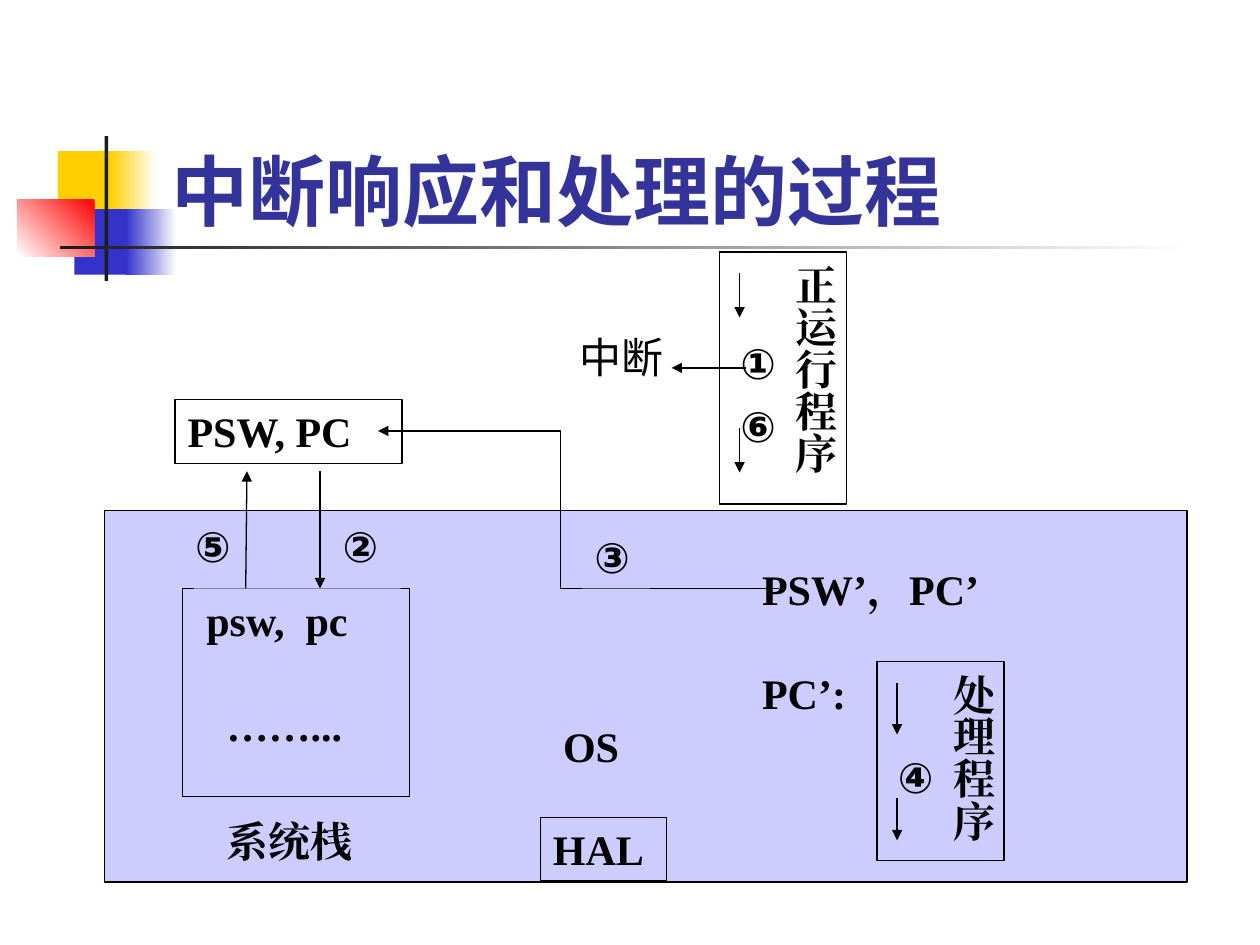
import pptx
import pptx.dml.color
import pptx.enum.shapes
import pptx.enum.text
import pptx.oxml
import pptx.oxml.ns
import pptx.util

COLORS = {
    "white": "FFFFFF", "black": "000000", "yellow": "FFCF01", "blue": "3333CC",
    "red": "FF0000", "charcoal": "1C1C1C", "title": "333399", "lavender": "CCCCFF",
}
SLIDE_WIDTH = pptx.util.Inches(10)
SLIDE_HEIGHT = pptx.util.Inches(7.5)
COLUMNS, ROWS = 100, 75
SERIF, SANS = "Times New Roman", "Roboto"


def across(columns):
    return round(SLIDE_WIDTH * columns / COLUMNS)


def down(rows):
    return round(SLIDE_HEIGHT * rows / ROWS)


def grid(left, top, width, height):
    return across(left), down(top), across(width), down(height)


def color(name):
    return pptx.dml.color.RGBColor.from_string(COLORS[name])


def add_child(parent, tag, **attributes):
    child = pptx.oxml.parse_xml(f"<a:{tag} {pptx.oxml.ns.nsdecls('a')}/>")
    for name, value in attributes.items():
        child.set(name, str(value))
    parent.append(child)
    return child


def style_line(shape, arrow=False):
    shape.line.color.rgb = color("black")
    shape.line.width = pptx.util.Pt(0.75)
    if arrow:
        add_child(shape.line._get_or_add_ln(), "tailEnd", type="triangle")


def add_box(slide, area, fill, outlined=False):
    shape = slide.shapes.add_shape(
        pptx.enum.shapes.MSO_SHAPE.RECTANGLE, *grid(*area))
    shape.shadow.inherit = False
    shape.fill.solid()
    shape.fill.fore_color.rgb = color(fill)
    if outlined:
        style_line(shape)
    else:
        shape.line.fill.background()
    return shape


def add_fade(slide, area, start, end, angle):
    shape = add_box(slide, area, start)
    shape.fill.gradient()
    shape.fill.gradient_angle = angle
    for stop, name in zip(shape.fill.gradient_stops, (start, end)):
        stop.color.rgb = color(name)
    shape.fill.gradient_stops[0].position = 0
    shape.fill.gradient_stops[1].position = 1


def format_paragraph(paragraph, font=SERIF, size=24, bold=True, ink="black", before=15):
    paragraph.alignment = pptx.enum.text.PP_ALIGN.LEFT
    paragraph.space_before = pptx.util.Pt(before)
    for run in paragraph.runs:
        run.font.name = font
        run.font.size = pptx.util.Pt(size)
        run.font.bold = bold
        run.font.color.rgb = color(ink)
        add_child(run.font._element, "ea", typeface=font)


def write(shape, text, anchor=pptx.enum.text.MSO_ANCHOR.TOP, **style):
    frame = shape.text_frame
    frame.text = text
    frame.word_wrap = True
    frame.vertical_anchor = anchor
    frame.margin_right = 0
    for paragraph in frame.paragraphs:
        format_paragraph(paragraph, **style)


def add_label(slide, text, area, fill="lavender", outlined=False, font=SERIF):
    write(add_box(slide, area, fill, outlined), text, font=font)


def add_text(slide, text, area, **style):
    write(slide.shapes.add_textbox(*grid(*area)), text, **style)


def add_program(slide, name, steps, area, fill, indent, tab):
    shape = add_box(slide, area, fill, True)
    write(shape, f"{name}\n{steps}")
    frame = shape.text_frame
    frame.margin_left = frame.margin_right = across(0.5)
    frame.margin_top = frame.margin_bottom = down(1)
    frame._txBody.bodyPr.set("vert", "eaVert")
    paragraph = frame.paragraphs[1]
    paragraph.line_spacing = 0.5
    format_paragraph(paragraph, font=SANS)
    properties = paragraph._p.get_or_add_pPr()
    properties.set("marL", str(down(indent)))
    properties.set("indent", "0")
    add_child(add_child(properties, "tabLst"), "tab", pos=down(tab), algn="l")


def add_arrow(slide, start_x, start_y, end_x, end_y):
    connector = slide.shapes.add_connector(
        pptx.enum.shapes.MSO_CONNECTOR.STRAIGHT,
        across(start_x), down(start_y), across(end_x), down(end_y))
    style_line(connector, True)
    add_child(connector._element.spPr, "effectLst")


def add_bent_arrow(slide, points):
    corners = [(across(x), down(y)) for x, y in points]
    builder = slide.shapes.build_freeform(*corners[0])
    builder.add_line_segments(corners[1:], close=False)
    shape = builder.convert_to_shape()
    shape.shadow.inherit = False
    shape.fill.background()
    style_line(shape, True)


def add_title(slide):
    add_box(slide, (4.6, 12, 4.8, 5.2), "yellow")
    add_fade(slide, (8.8, 12, 3.6, 5.2), "white", "yellow", 180)
    add_box(slide, (5.9, 16.6, 4.6, 5.2), "blue")
    add_fade(slide, (10, 16.6, 4, 5.2), "white", "blue", 180)
    add_fade(slide, (1.4, 15.8, 6.1, 4.6), "red", "white", 225)
    add_box(slide, (8.3, 10.8, 0.3, 11.5), "charcoal")
    add_fade(slide, (4.8, 19.5, 90, 0.3), "white", "charcoal", 180)
    add_text(slide, "中断响应和处理的过程", (12.6, 6.7, 85.2, 12.5), font=SANS, size=44,
             ink="title", before=0, anchor=pptx.enum.text.MSO_ANCHOR.BOTTOM)


def add_programs(slide):
    add_program(slide, "正运行程序", "①\t⑥", (57.1, 20, 10.1, 20), "white", 6, 11.5)
    add_program(slide, "处理程序", "④", (69.6, 52.5, 10.1, 15.8), "lavender", 6.4, 11.5)
    for x, top, bottom in ((58.7, 21.7, 25.2), (58.7, 34, 37.5),
                           (71.2, 54.2, 58.3), (71.2, 63.3, 66.7)):
        add_arrow(slide, x, top, x, bottom)
    add_label(slide, "PSW’，PC’", (59.5, 44.2, 20.9, 5))
    add_label(slide, "PC’:", (59.5, 52.5, 9.1, 5))


def add_stack(slide):
    add_label(slide, "PSW, PC", (13.9, 31.7, 18, 5.1), "white", True)
    add_box(slide, (14.5, 46.7, 18, 16.5), "lavender", True)
    add_label(slide, "系统桟", (17, 64.2, 13.6, 5))
    add_label(slide, "psw,  pc", (15.4, 46.7, 16.4, 5))
    add_label(slide, "……...", (17, 55, 12.7, 5))
    add_arrow(slide, 25.4, 37.4, 25.4, 46.7)
    add_label(slide, "②", (26.2, 40.8, 4.8, 5), font=SANS)
    add_arrow(slide, 19.5, 46.7, 19.6, 37.4)
    add_label(slide, "⑤", (14.5, 40.8, 4.5, 5), font=SANS)


def main():
    presentation = pptx.Presentation()
    presentation.slide_width = SLIDE_WIDTH
    presentation.slide_height = SLIDE_HEIGHT
    slide = presentation.slides.add_slide(presentation.slide_layouts[6])
    add_title(slide)
    add_box(slide, (8.3, 40.5, 85.9, 29.5), "lavender", True)
    add_programs(slide)
    add_stack(slide)
    add_bent_arrow(slide, ((61.8, 46.7), (44.5, 46.7), (44.5, 34.2), (30, 34.2)))
    add_label(slide, "③", (46.2, 41.7, 5.4, 5), font=SANS)
    add_label(slide, "HAL", (42.9, 64.9, 10, 5), outlined=True)
    add_label(slide, "OS", (43.7, 56.7, 9.1, 5))
    add_arrow(slide, 59.2, 29.2, 53.3, 29.2)
    add_text(slide, "中断", (45, 25.8, 9.2, 5), font=SANS, bold=False)
    presentation.save("out.pptx")


if __name__ == "__main__":
    main()
